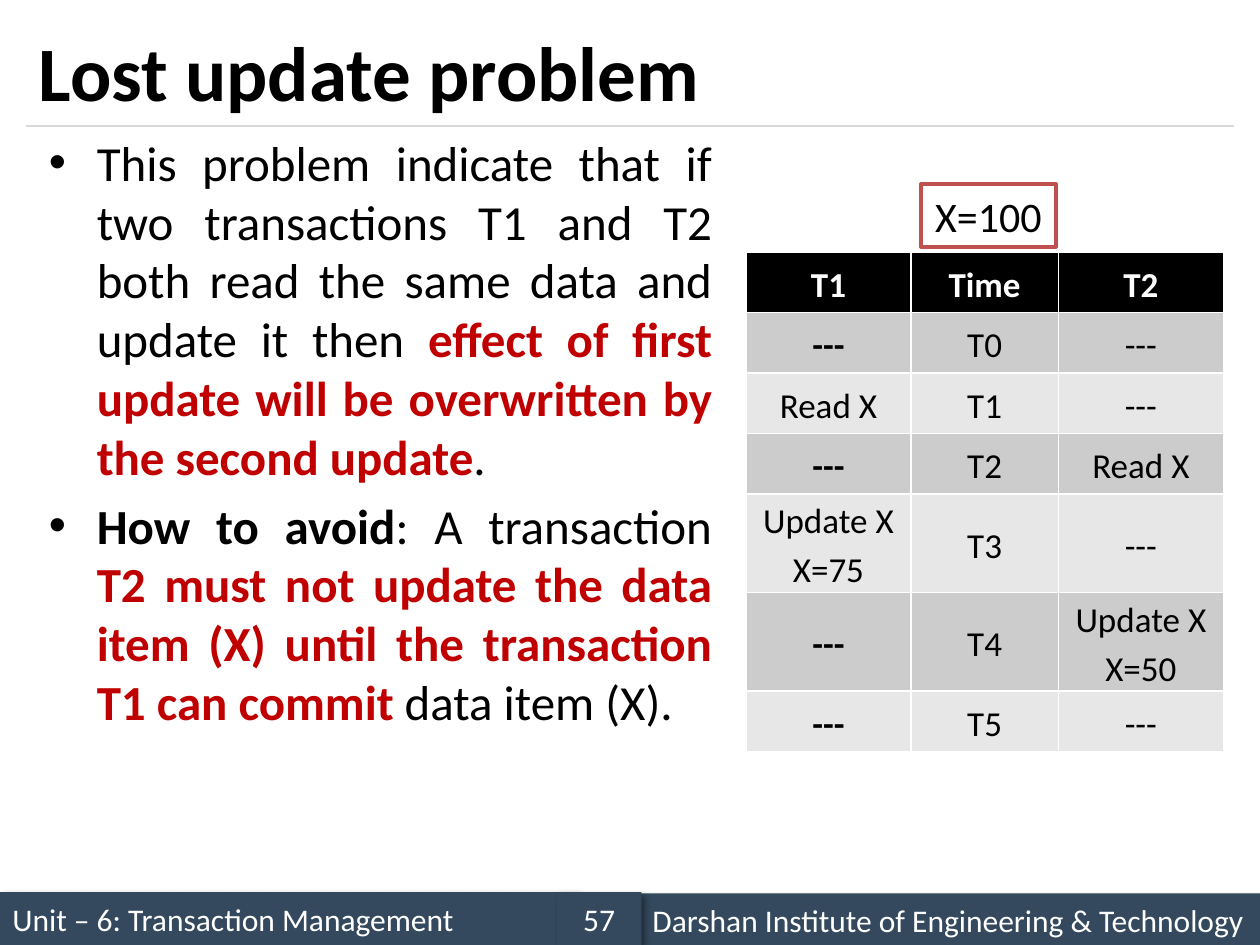
from lxml import etree
from pptx import Presentation
from pptx import util as u
from pptx.dml.color import RGBColor
from pptx.enum import shapes, text
from pptx.oxml import ns

FONT = "Calibri"
COLORS = {
    "black": "000000", "white": "FFFFFF", "red": "C00000",
    "slate": "34495E", "rule": "D9D9D9", "frame": "C0504D",
    "dark": "CCCCCC", "light": "E7E7E7",
}
ALIGN = text.PP_ALIGN
MIDDLE = text.MSO_ANCHOR.MIDDLE

# Runs of each bullet: words, colour, bold
BULLETS = [
    [("This problem indicate that if two transactions T1 and T2 both read "
      "the same data and update it then ", "black", False),
     ("effect of first update will be overwritten by the second update",
      "red", True),
     (".", "black", False)],
    [("How to avoid", "black", True),
     (": A transaction ", "black", False),
     ("T2 must not update the data item (X) until the transaction T1 "
      "can commit ", "red", True),
     ("data item (X).", "black", False)],
]

ROWS = [
    ("T1", "Time", "T2"),
    ("---", "T0", "---"),
    ("Read X", "T1", "---"),
    ("---", "T2", "Read X"),
    ("Update X\nX=75", "T3", "---"),
    ("---", "T4", "Update X\nX=50"),
    ("---", "T5", "---"),
]

# Footer parts: words, left, top, width, alignment
FOOTER = [
    ("Unit – 6: Transaction Management", 0, 7.08, 4.58, ALIGN.LEFT),
    ("Darshan Institute of Engineering & Technology",
     5.08, 7.09, 4.92, ALIGN.LEFT),
    ("57", 4.42, 7.08, 0.67, ALIGN.CENTER),
]


def rgb(name):
    return RGBColor.from_string(COLORS[name])


def style(run, size, color="black", bold=False):
    font = run.font
    font.name, font.size, font.bold = FONT, u.Pt(size), bold
    font.color.rgb = rgb(color)


def write(frame, words, size, color="black", bold=False, align=ALIGN.LEFT):
    frame.text = words
    for para in frame.paragraphs:
        para.alignment = align
        for run in para.runs:
            style(run, size, color, bold)


def add_text(slide, box):
    frame = slide.shapes.add_textbox(*map(u.Inches, box)).text_frame
    frame.word_wrap = True
    return frame


def add_box(slide, box, fill, line=None):
    shape = slide.shapes.add_shape(
        shapes.MSO_SHAPE.RECTANGLE, *map(u.Inches, box))
    shape.shadow.inherit = False
    shape.fill.solid()
    shape.fill.fore_color.rgb = rgb(fill)
    if line:
        shape.line.color.rgb = rgb(line)
        shape.line.width = u.Pt(2)
    else:
        shape.line.fill.background()
    return shape


def add_shadow(shape):
    effects = shape._element.spPr.find(ns.qn("a:effectLst"))
    outer = etree.SubElement(
        effects, ns.qn("a:outerShdw"), blurRad=str(u.Pt(4)),
        dist=str(u.Pt(3)), dir=str(45 * 60000), algn="tl", rotWithShape="0")
    color = etree.SubElement(outer, ns.qn("a:srgbClr"), val=COLORS["black"])
    etree.SubElement(color, ns.qn("a:alpha"), val="40000")


def add_footer(slide):
    for words, left, top, width, align in FOOTER:
        bar = add_box(slide, (left, top, width, 0.42), "slate")
        add_shadow(bar)
        bar.text_frame.vertical_anchor = MIDDLE
        write(bar.text_frame, words, 18, "white", align=align)


def add_rule(slide):
    line = slide.shapes.add_connector(
        shapes.MSO_CONNECTOR.STRAIGHT,
        u.Inches(0.21), u.Inches(1), u.Inches(9.79), u.Inches(1))
    line.line.color.rgb = rgb("rule")
    line.line.width = u.Pt(0.75)
    etree.SubElement(line._element.spPr, ns.qn("a:effectLst"))


def add_grid(slide):
    widths, height = (1.31, 1.17, 1.31), 0.48
    table = slide.shapes.add_table(
        len(ROWS), len(widths), u.Inches(5.92), u.Inches(2),
        u.Inches(sum(widths)), u.Inches(height * len(ROWS))).table
    for col, width in zip(table.columns, widths):
        col.width = u.Inches(width)
    for r, row in enumerate(ROWS):
        table.rows[r].height = u.Inches(height)
        fill = "black" if r == 0 else "dark" if r % 2 else "light"
        for c, words in enumerate(row):
            cell = table.cell(r, c)
            cell.fill.solid()
            cell.fill.fore_color.rgb = rgb(fill)
            cell.vertical_anchor = MIDDLE
            cell.margin_left = cell.margin_right = u.Inches(0.11)
            cell.margin_top = cell.margin_bottom = 0
            bold = r == 0 or (c == 0 and words == "---")
            write(cell.text_frame, words, 20, "black" if r else "white",
                  bold, ALIGN.CENTER)
            for para in cell.text_frame.paragraphs:
                para.line_spacing = 1.15


def add_bullets(slide):
    frame = add_text(slide, (0.29, 1, 5.46, 6.08))
    for i, parts in enumerate(BULLETS):
        para = frame.add_paragraph() if i else frame.paragraphs[0]
        para.alignment = ALIGN.JUSTIFY
        if i:
            para.space_before = u.Pt(5.6)
        props = para._p.get_or_add_pPr()
        props.set("marL", str(u.Inches(0.38)))
        props.set("indent", str(-u.Inches(0.38)))
        etree.SubElement(props, ns.qn("a:buFont"), typeface="Arial")
        etree.SubElement(props, ns.qn("a:buChar"), char="•")
        for words, color, bold in parts:
            run = para.add_run()
            run.text = words
            style(run, 28, color, bold)


def main():
    prs = Presentation()
    prs.slide_width, prs.slide_height = u.Inches(10), u.Inches(7.5)
    slide = prs.slides.add_slide(prs.slide_layouts[6])

    # Frame of the page
    add_footer(slide)
    add_rule(slide)

    # Schedule and explanation
    add_grid(slide)
    add_bullets(slide)

    # Title
    title = add_text(slide, (0.21, 0.12, 9.58, 0.88))
    title.vertical_anchor = MIDDLE
    write(title, "Lost update problem", 44, bold=True)

    # Starting value
    start = add_box(slide, (7.31, 1.46, 1.07, 0.5), "white", "frame")
    start.text_frame.word_wrap = False
    start.text_frame.vertical_anchor = text.MSO_ANCHOR.TOP
    write(start.text_frame, "X=100", 24, align=ALIGN.CENTER)

    prs.save("out.pptx")


if __name__ == "__main__":
    main()
